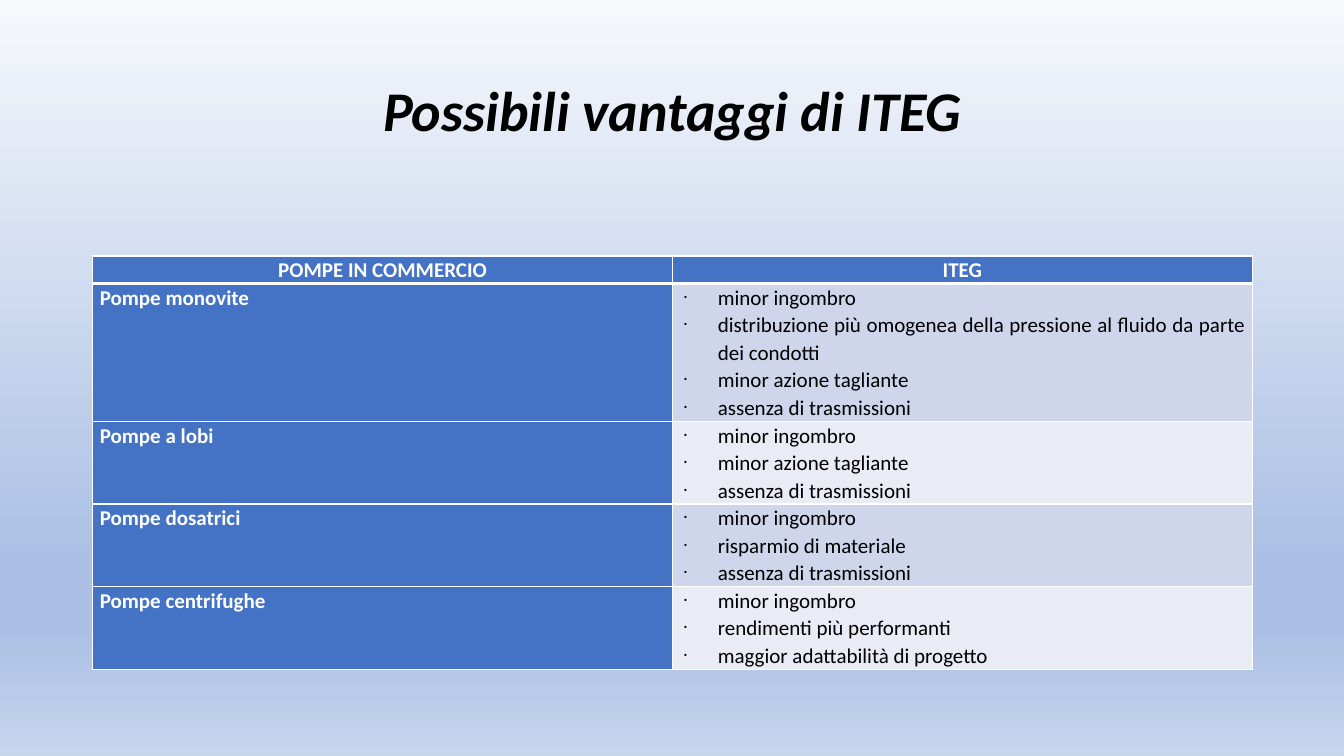
from lxml.etree import SubElement
from pptx import Presentation
from pptx.dml.color import RGBColor
from pptx.enum.text import MSO_ANCHOR, MSO_AUTO_SIZE, PP_ALIGN
from pptx.oxml.ns import qn
from pptx.util import Inches, Pt

# Colours
BLACK = RGBColor(0x00, 0x00, 0x00)
WHITE = RGBColor(0xFF, 0xFF, 0xFF)
BLUE = RGBColor(0x44, 0x72, 0xC4)
BAND_DARK = RGBColor(0xCF, 0xD5, 0xEA)
BAND_LIGHT = RGBColor(0xE9, 0xEB, 0xF5)
SKY_TOP = RGBColor(0xF6, 0xF8, 0xFC)
SKY_MID = RGBColor(0xAB, 0xC0, 0xE4)
SKY_END = RGBColor(0xC7, 0xD5, 0xED)

# Content
HEADERS = ["POMPE IN COMMERCIO", "ITEG"]
PUMPS = [
    ("Pompe monovite", [
        "minor ingombro",
        "distribuzione più omogenea della pressione al fluido da parte dei condotti",
        "minor azione tagliante",
        "assenza di trasmissioni",
    ], 5),
    ("Pompe a lobi",
     ["minor ingombro", "minor azione tagliante", "assenza di trasmissioni"], 3),
    ("Pompe dosatrici",
     ["minor ingombro", "risparmio di materiale", "assenza di trasmissioni"], 3),
    ("Pompe centrifughe",
     ["minor ingombro", "rendimenti più performanti",
      "maggior adattabilità di progetto"], 3),
]


class SlideBuilder:
    """Two columns inside side margins, and 150 rows down the slide."""

    FONT = "Calibri"
    MARGIN = Inches(0.92)
    COL = Inches(5.75)
    ROW = Inches(0.05)
    INDENT = Inches(0.38)

    def __init__(self, prs):
        self.s = prs.slides.add_slide(prs.slide_layouts[5])

    def box(self, row, rows):
        return self.MARGIN, int(row * self.ROW), 2 * self.COL, int(rows * self.ROW)

    def background(self, stops):
        self.s.background.fill.gradient()
        grad = next(self.s.element.iter(qn("a:gradFill")))
        gs_lst = grad.find(qn("a:gsLst"))
        for gs in list(gs_lst):
            gs_lst.remove(gs)
        for share, color in stops:
            gs = SubElement(gs_lst, qn("a:gs"), pos=str(share * 1000))
            SubElement(gs, qn("a:srgbClr"), val=str(color))
        grad.find(qn("a:lin")).set("ang", str(90 * 60000))

    def run(self, p, text, size, color, bold=False, italic=False):
        r = p.add_run()
        r.text = text
        r.font.name, r.font.size = self.FONT, Pt(size)
        r.font.bold, r.font.italic = bold, italic
        r.font.color.rgb = color

    def title(self, text, row, rows):
        sp = self.s.shapes.title
        sp.left, sp.top, sp.width, sp.height = self.box(row, rows)
        tf = sp.text_frame
        tf.auto_size = MSO_AUTO_SIZE.NONE
        tf.vertical_anchor = MSO_ANCHOR.MIDDLE
        p = tf.paragraphs[0]
        p.alignment, p.line_spacing = PP_ALIGN.CENTER, 0.9
        self.run(p, text, 40, BLACK, bold=True, italic=True)

    def bullet(self, p):
        pPr = p._p.get_or_add_pPr()
        pPr.set("marL", str(self.INDENT))
        pPr.set("indent", str(-self.INDENT))
        SubElement(pPr, qn("a:buChar"), char="⋅")

    def borders(self, cell, top, bottom):
        tcPr = cell._tc.get_or_add_tcPr()
        for side, width in (("L", 1), ("R", 1), ("T", top), ("B", bottom)):
            ln = SubElement(tcPr, qn(f"a:ln{side}"), w=str(Pt(width)))
            fill = SubElement(ln, qn("a:solidFill"))
            SubElement(fill, qn("a:srgbClr"), val=str(WHITE))

    def cell(self, cell, lines, fill, color, align, bold=False, bullets=False,
             top=1, bottom=1):
        self.borders(cell, top, bottom)
        cell.fill.solid()
        cell.fill.fore_color.rgb = fill
        cell.margin_left = cell.margin_right = Inches(0.07)
        cell.margin_top = cell.margin_bottom = 0
        tf = cell.text_frame
        for i, line in enumerate(lines):
            p = tf.add_paragraph() if i else tf.paragraphs[0]
            p.alignment, p.line_spacing = align, 1.07
            if bullets:
                self.bullet(p)
            self.run(p, line, 15, color, bold)

    def table(self, headers, pumps, row, rows):
        heights = [1] + [count for _, _, count in pumps]
        frame = self.s.shapes.add_table(len(heights), 2, *self.box(row, rows))
        tbl = frame.table
        for col in tbl.columns:
            col.width = self.COL
        for tr, count in zip(tbl.rows, heights):
            tr.height = int(rows * self.ROW * count / sum(heights))
        # Header row
        for c, text in enumerate(headers):
            self.cell(tbl.cell(0, c), [text], BLUE, WHITE, PP_ALIGN.CENTER,
                      bold=True, bottom=3)
        # Pump rows with alternating bands
        for i, (name, benefits, _) in enumerate(pumps, 1):
            top = 3 if i == 1 else 1
            band = BAND_DARK if i % 2 else BAND_LIGHT
            self.cell(tbl.cell(i, 0), [name], BLUE, WHITE, PP_ALIGN.JUSTIFY,
                      bold=True, top=top)
            self.cell(tbl.cell(i, 1), benefits, band, BLACK, PP_ALIGN.JUSTIFY,
                      bullets=True, top=top)


def main():
    prs = Presentation()
    prs.slide_width, prs.slide_height = Inches(13.33), Inches(7.5)
    slide = SlideBuilder(prs)
    slide.background([(0, SKY_TOP), (74, SKY_MID), (83, SKY_MID), (100, SKY_END)])
    slide.title("Possibili vantaggi di ITEG", row=8, rows=29)
    slide.table(HEADERS, PUMPS, row=50.8, rows=82)
    prs.save("out.pptx")


if __name__ == "__main__":
    main()
